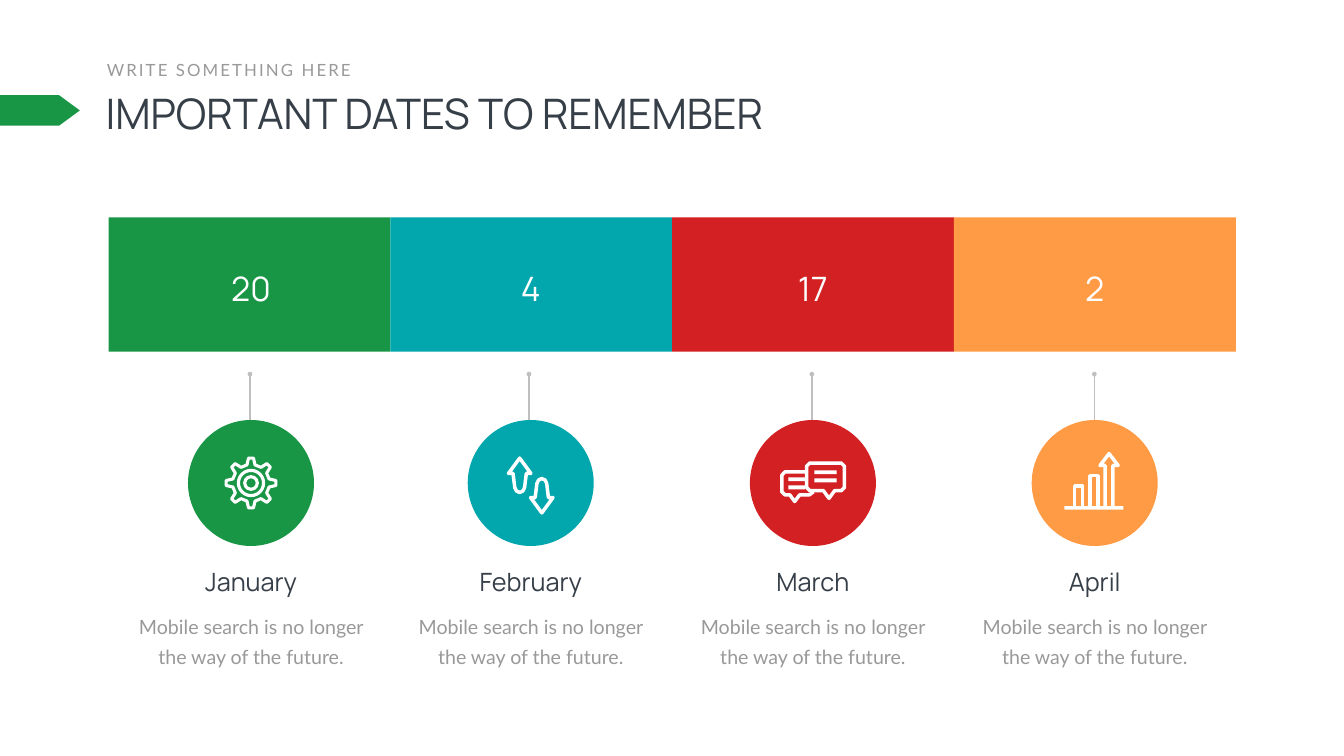
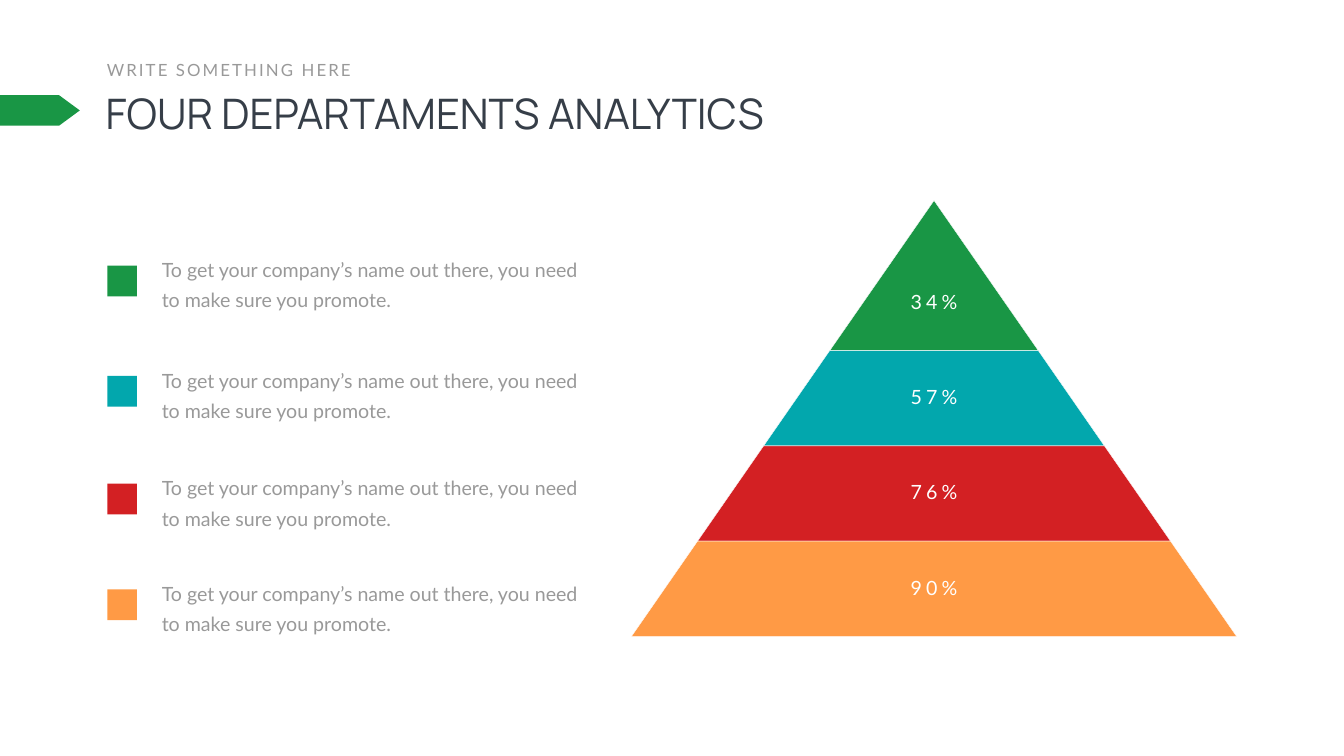
from math import cos, radians, sin

from lxml import etree
from pptx import Presentation
from pptx.dml.color import RGBColor
from pptx.enum.shapes import MSO_CONNECTOR, MSO_SHAPE as SHAPE
from pptx.enum.text import MSO_ANCHOR, MSO_AUTO_SIZE, PP_ALIGN as ALIGN
from pptx.oxml.ns import qn
from pptx.util import Pt

COLORS = GREEN, TEAL, RED, ORANGE = ("199645", "02A7AD", "D32023", "FF9A45")
WHITE, DARK, GRAY, SILVER = "FFFFFF", "363E48", "999999", "BFBFBF"
HEAD, BODY = "Manrope", "Lato"


def rgb(color):
    return RGBColor.from_string(color)


class Deck:
    """Holds the style and the current slide, and draws each kind of element."""

    def __init__(self):
        self.prs = Presentation()
        self.prs.slide_width, self.prs.slide_height = Pt(1919.5), Pt(1080)
        self.slide = None

    def new_slide(self, title, width):
        self.slide = self.prs.slides.add_slide(self.prs.slide_layouts[5])
        sp = self.slide.shapes.title
        sp.left, sp.top, sp.width, sp.height = Pt(143.5), Pt(121), Pt(width), Pt(80)
        self.fill_text(sp, title, 60, HEAD, DARK)
        self.text("WRITE SOMETHING HERE", 145.5, 81.5, 370, 36, 24, BODY, GRAY, spacing=3, wrap=False)
        arrow = self.shape(SHAPE.PENTAGON, 0, 136, 114, 43.5, GREEN)
        arrow.adjustments[0] = 0.68

    def fill_text(self, sp, text, size, font, color, align=ALIGN.LEFT, spacing=0,
                  line=None, wrap=True, inset=(7.2, 3.6)):
        tf = sp.text_frame
        tf.word_wrap = wrap
        tf.auto_size = MSO_AUTO_SIZE.SHAPE_TO_FIT_TEXT
        tf.vertical_anchor = MSO_ANCHOR.TOP
        tf.margin_left = tf.margin_right = Pt(inset[0])
        tf.margin_top = tf.margin_bottom = Pt(inset[1])
        p = tf.paragraphs[0]
        p.alignment = align
        p.line_spacing = Pt(line) if line else 1.0
        p.space_before = Pt(0)
        r = p.add_run()
        r.text = text
        r.font.size, r.font.name = Pt(size), font
        r.font.color.rgb = rgb(color)
        if spacing:
            r.font._element.set("spc", str(spacing * 100))

    def text(self, text, x, y, w, h, size, font, color, **style):
        sp = self.slide.shapes.add_textbox(Pt(x), Pt(y), Pt(w), Pt(h))
        self.fill_text(sp, text, size, font, color, **style)

    def paint(self, sp, fill, line=None, weight=0):
        sp.shadow.inherit = False
        if fill:
            sp.fill.solid()
            sp.fill.fore_color.rgb = rgb(fill)
        else:
            sp.fill.background()
        if line:
            sp.line.color.rgb = rgb(line)
            sp.line.width = Pt(weight)
        else:
            sp.line.fill.background()
        return sp

    def shape(self, kind, x, y, w, h, fill, line=None, weight=0):
        sp = self.slide.shapes.add_shape(kind, Pt(x), Pt(y), Pt(w), Pt(h))
        return self.paint(sp, fill, line, weight)

    def outline(self, points, fill=None, line=WHITE, weight=5, at=(0, 0), close=True):
        placed = [(Pt(at[0] + x), Pt(at[1] + y)) for x, y in points]
        fb = self.slide.shapes.build_freeform(*placed[0])
        fb.add_line_segments(placed[1:], close=close)
        return self.paint(fb.convert_to_shape(), fill, line, weight)

    def pin(self, x, bottom, top):
        cn = self.slide.shapes.add_connector(
            MSO_CONNECTOR.STRAIGHT, Pt(x), Pt(bottom), Pt(x), Pt(top))
        cn.line.color.rgb = rgb(SILVER)
        cn.line.width = Pt(2.25)
        etree.SubElement(cn.line._get_or_add_ln(), qn("a:tailEnd"), type="oval")
        etree.SubElement(cn._element.spPr, qn("a:effectLst"))

    def bars(self, at, boxes):
        for x, y, w, h in boxes:
            self.shape(SHAPE.RECTANGLE, at[0] + x, at[1] + y, w, h, WHITE)


def gear_icon(deck, at):
    corners = ((-12.5, 26.5), (-5.7, 35.8), (5.7, 35.8), (12.5, 26.5))
    teeth = [(r * sin(radians(tooth + a)), -r * cos(radians(tooth + a)))
             for tooth in range(0, 360, 45) for a, r in corners]
    deck.outline(teeth, weight=4.4, at=at)
    for r in (18, 9):
        deck.shape(SHAPE.OVAL, at[0] - r, at[1] - r, 2 * r, 2 * r, None, WHITE, 4.5)


def arrows_icon(deck, at):
    half = [(0, -24), (16, -2.2), (9.5, -2.2), (7, 18), (4.5, 23), (0, 25)]
    up = half + [(-x, y) for x, y in half[-2:0:-1]]
    down = [(-x, -y) for x, y in up]
    deck.outline(up, at=(at[0] - 15.8, at[1] - 11.5))
    deck.outline(down, at=(at[0] + 15.8, at[1] + 18.7))


def chat_icon(deck, at):
    back = [(-11.5, -15.8), (-40, -15.8), (-44.5, -11), (-44.5, 12.5), (-40, 17),
            (-33, 17), (-26, 26.5), (-19, 17), (-5, 17), (1, 12.5)]
    front = [(-4.5, -28.5), (40.5, -28.5), (45, -24), (45, 6.5), (40.5, 11), (31, 11),
             (23, 22), (15, 11), (-4.5, 11), (-9, 6.5), (-9, -24)]
    deck.outline(back, at=at, close=False)
    deck.outline(front, at=at)
    deck.bars(at, [(2, -18, 32, 5.5), (2, -6.5, 32, 5.5),
                   (-35, -8, 24, 5.5), (-35, 3.5, 24, 5.5)])


def growth_icon(deck, at):
    base = 35.5
    for left, top in ((-28.5, 4.5), (-6.5, -10.5)):
        right = left + 11
        deck.outline([(left, base), (left, top), (right, top), (right, base)], at=at, close=False)
    arrow = [(15, base), (15, -25), (7.5, -25), (20.5, -42), (33.5, -25), (26, -25), (26, base)]
    deck.outline(arrow, at=at, close=False)
    deck.bars(at, [(-43.5, 33, 84.5, 5)])


def dates_slide(deck):
    deck.new_slide("IMPORTANT DATES TO REMEMBER", 1156)
    months = [
        ("20", "January", 358.5, 357, 73, gear_icon),
        ("4", "February", 758, 755.5, 46, arrows_icon),
        ("17", "March", 1161, 1159.5, 58, chat_icon),
        ("2", "April", 1563.5, 1563, 42, growth_icon),
    ]
    block, middle, radius, width = 402.5, 690, 90, 370
    for i, color in enumerate(COLORS):
        deck.shape(SHAPE.RECTANGLE, 155 + i * block, 310.5, block, 192, color)
    for color, (day, month, x, pin_x, day_width, icon) in zip(COLORS, months):
        deck.text(day, x - day_width / 2, 378.5, day_width, 65.5, 48, HEAD, WHITE,
                  align=ALIGN.CENTER, wrap=False)
        deck.pin(pin_x, 647, 534.5)
        deck.shape(SHAPE.OVAL, x - radius, middle - radius, 2 * radius, 2 * radius, color)
        icon(deck, (x, middle))
        deck.text("Mobile search is no longer the way of the future.", x - width / 2, 860.5,
                  width, 99.5, 28, BODY, GRAY, align=ALIGN.CENTER, line=43, inset=(17.3, 8.6))
        deck.text(month, x - width / 2, 805.5, width, 51, 36, HEAD, DARK, align=ALIGN.CENTER)


def departments_slide(deck):
    deck.new_slide("FOUR DEPARTAMENTS ANALYTICS", 1031)
    center, step = 1334, 136
    levels = [(286.5, 0)] + [(501 + step * i, 149 + 94.33 * i) for i in range(4)]
    for color, (top, upper), (bottom, lower) in zip(COLORS, levels, levels[1:]):
        deck.outline([(center - lower, bottom), (center - upper, top),
                      (center + upper, top), (center + lower, bottom)], color, WHITE, 0.5)
    for i, share in enumerate(("34%", "57%", "76%", "90%")):
        deck.text(share, center - 141.5, 410.5 + step * i, 283, 41, 28, BODY, WHITE,
                  align=ALIGN.CENTER, spacing=6)
    for color, y in zip(COLORS, (379.5, 537, 691, 842)):
        deck.shape(SHAPE.RECTANGLE, 153.5, y, 42, 44, color)
        deck.text("To get your company’s name out there, you need to make sure you promote.",
                  224, y - 23.5, 618, 90, 28, BODY, GRAY, line=43)


def main():
    deck = Deck()
    dates_slide(deck)
    departments_slide(deck)
    deck.prs.save("out.pptx")


if __name__ == "__main__":
    main()
